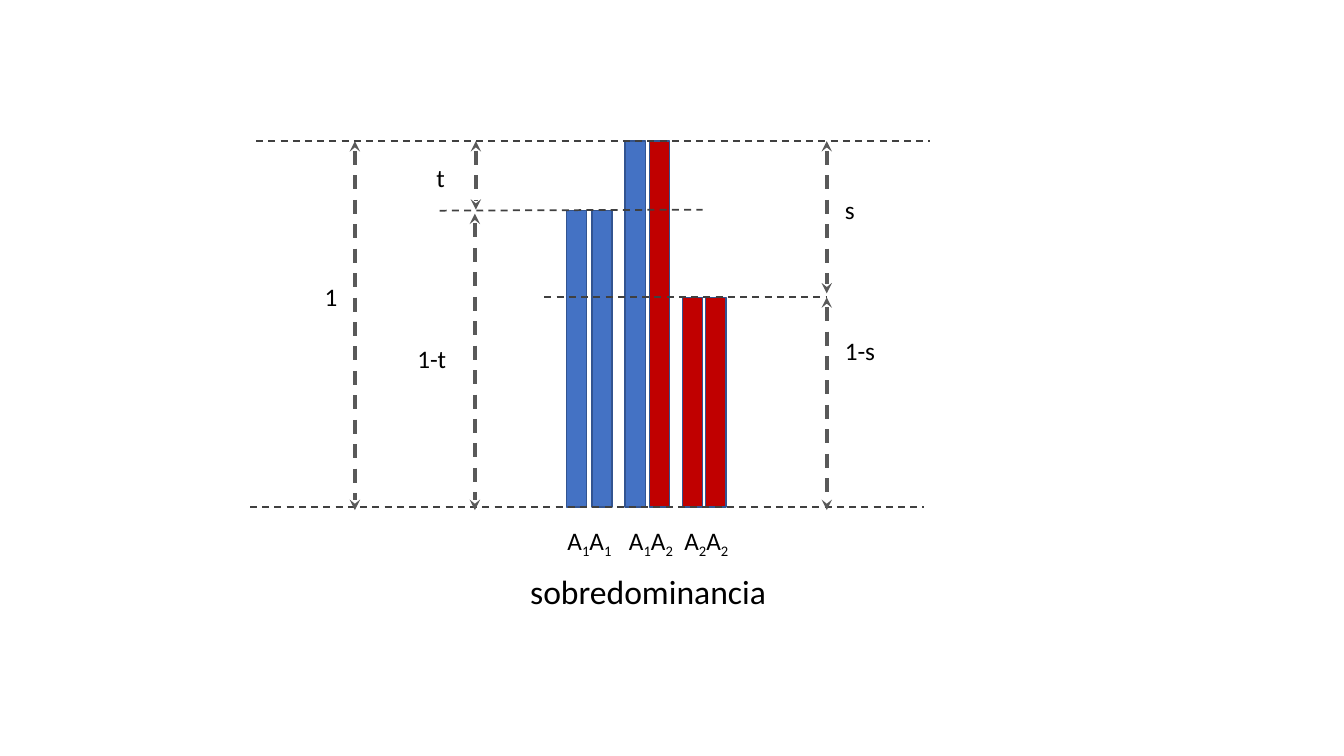
from lxml.etree import SubElement
from pptx import Presentation
from pptx.dml.color import RGBColor
from pptx.enum.dml import MSO_LINE
from pptx.enum.shapes import MSO_CONNECTOR, MSO_SHAPE
from pptx.enum.text import MSO_AUTO_SIZE
from pptx.oxml.ns import qn
from pptx.util import Inches, Pt

HUES = {"blue": "4472C4", "red": "C00000", "edge": "325491",
        "level": "404040", "arrow": "595959", "text": "000000"}
CELL = 0.1  # inches per grid column and row


def grid(*cells):
    return [Inches(n * CELL) for n in cells]


def hue(name):
    return RGBColor.from_string(HUES[name])


class Board:
    """Holds the style and the current slide."""
    font = "Calibri"

    def __init__(self, deck):
        self.shapes = deck.slides.add_slide(deck.slide_layouts[6]).shapes

    def bar(self, left, top, base, fill):
        box = self.shapes.add_shape(
            MSO_SHAPE.RECTANGLE, *grid(left, top, 2, base - top))
        box.shadow.inherit = False
        box.fill.solid()
        box.fill.fore_color.rgb = hue(fill)
        box.line.color.rgb = hue("edge")
        box.line.width = Pt(1)

    def line(self, start, end, color="level", width=1.25):
        link = self.shapes.add_connector(
            MSO_CONNECTOR.STRAIGHT, *grid(*start, *end))
        link.line.color.rgb = hue(color)
        link.line.width = Pt(width)
        link.line.dash_style = MSO_LINE.DASH
        SubElement(link._element.spPr, qn("a:effectLst"))
        return link

    def arrow(self, col, top, end):
        link = self.line((col, top), (col, end), "arrow", 2.5)
        for tip in ("a:headEnd", "a:tailEnd"):
            SubElement(link.line._get_or_add_ln(), qn(tip), type="stealth")

    def text(self, words, left, top, width, height=4, size=18, sub=""):
        """Write words; characters found in sub become subscripts."""
        box = self.shapes.add_textbox(*grid(left, top, width, height))
        frame = box.text_frame
        frame.word_wrap = False
        frame.auto_size = MSO_AUTO_SIZE.SHAPE_TO_FIT_TEXT
        para = frame.paragraphs[0]
        para.font.name = self.font
        para.font.size = Pt(size)
        para.font.color.rgb = hue("text")
        for part in words if sub else [words]:
            run = para.add_run()
            run.text = part
            if part in sub:
                run._r.get_or_add_rPr().set("baseline", "-25000")


deck = Presentation()
deck.slide_width, deck.slide_height = Inches(13.33), Inches(7.5)
board = Board(deck)

# Fitness levels, as grid rows
TOP, MID, LOW, BASE = 14, 20.9, 29.5, 50.3
FOOT = 50.6

# Genotypes: label column, bar top, and column and colour of each bar
types = [("A1A1", 55.3, MID, (56.2, "blue"), (58.7, "blue")),
         ("A1A2", 61.4, TOP, (62, "blue"), (64.4, "red")),
         ("A2A2", 66.9, LOW, (67.7, "red"), (70, "red"))]
for name, col, top, *pair in types:
    for left, fill in pair:
        board.bar(left, top, BASE, fill)
    board.text(name, col, 51.6, 6.6, sub="12")
board.text("sobredominancia", 51.6, 56.1, 25.6, 5, 24)

# Level lines
for start, end in [((25.4, TOP), (92.2, TOP)), ((54, LOW), (82, LOW)),
                   ((43.6, MID), (69.7, 20.8)),
                   ((24.8, BASE), (91.6, BASE))]:
    board.line(start, end)

# Measures: arrow column and span, then label and its place
for col, top, end, name, left, row, width in [
        (35.2, TOP, FOOT, "1", 31.2, 27.4, 4.9),
        (47.2, TOP, 20.8, "t", 42.3, 15.6, 2.9),
        (47.1, 21.2, FOOT, "1-t", 40.4, 33.6, 4.9),
        (82, TOP, 29.1, "s", 82.8, 18.8, 2.9),
        (82, LOW, FOOT, "1-s", 82.8, 32.8, 5.1)]:
    board.arrow(col, top, end)
    board.text(name, left, row, width)

deck.save("out.pptx")
